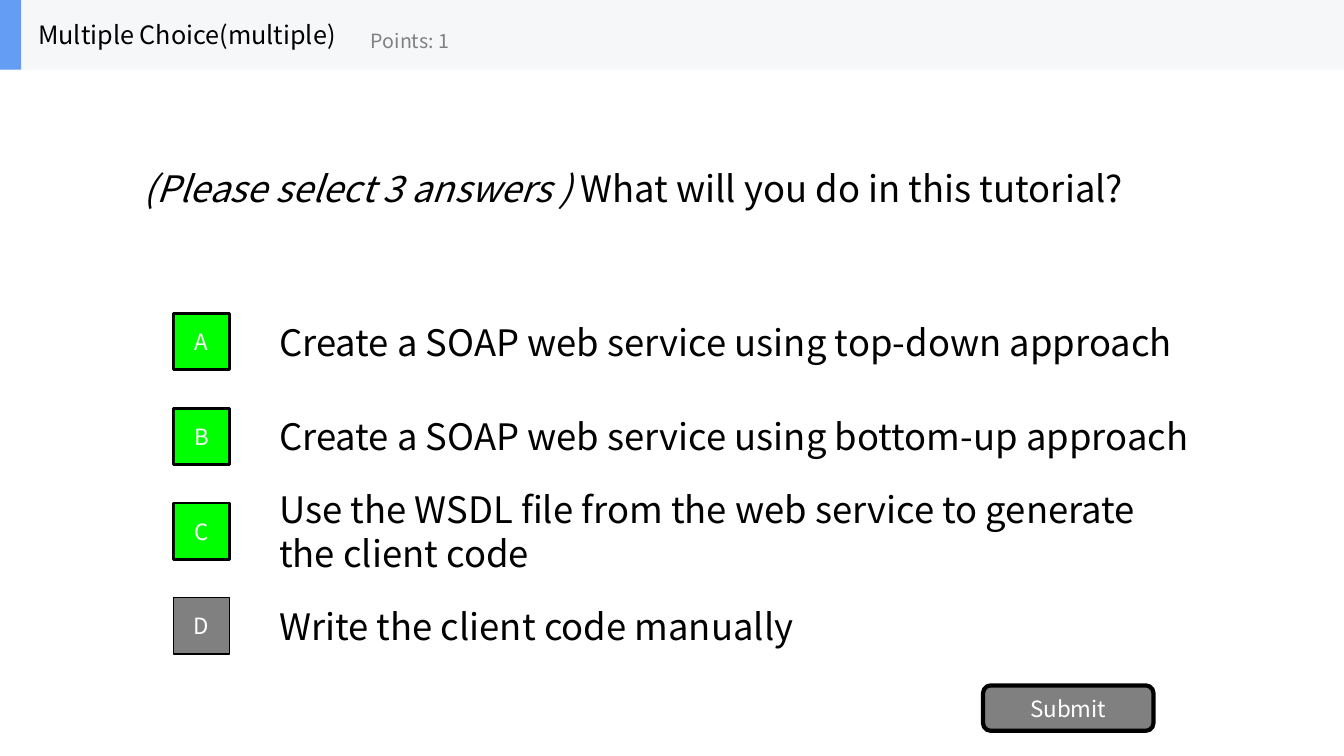
from dataclasses import dataclass

from pptx import Presentation
from pptx.dml.color import RGBColor
from pptx.enum.shapes import MSO_SHAPE
from pptx.enum.text import MSO_ANCHOR, PP_ALIGN
from pptx.util import Inches, Pt

RECT = MSO_SHAPE.RECTANGLE
ROUNDED = MSO_SHAPE.ROUNDED_RECTANGLE
MIDDLE = MSO_ANCHOR.MIDDLE
CENTER = PP_ALIGN.CENTER
LEFT = PP_ALIGN.LEFT

FONT = "Noto Sans CJK SC"
COLORS = {
    "black": "000000",
    "white": "FFFFFF",
    "gray": "808080",
    "correct": "00FF00",
    "header": "F6F7F8",
    "accent": "639EF4",
}
FIRST_OPTION_TOP = 3.04
OPTION_STEP = 0.94
OPTION_HEIGHT = 0.7
BADGE_SIZE = 0.56
HEADER_HEIGHT = 0.69


@dataclass
class Box:
    left: float
    top: float
    width: float
    height: float

    def lengths(self) -> list[Inches]:
        return [Inches(v) for v in (self.left, self.top, self.width, self.height)]


@dataclass
class Option:
    letter: str
    text: str
    correct: bool


OPTIONS = [
    Option("A", "Create a SOAP web service using top-down approach", True),
    Option("B", "Create a SOAP web service using bottom-up approach", True),
    Option("C", "Use the WSDL file from the web service to generate the client code",
           True),
    Option("D", "Write the client code manually", False),
]


def rgb(name: str) -> RGBColor:
    return RGBColor.from_string(COLORS[name])


def write(sp, text: str, size: int, color: str, align=LEFT, wrap: bool = True):
    tf = sp.text_frame
    tf.word_wrap = wrap
    tf.vertical_anchor = MIDDLE
    p = tf.paragraphs[0]
    p.alignment = align
    p.font.name = FONT
    p.font.size = Pt(size)
    p.font.color.rgb = rgb(color)
    p.add_run().text = text
    return p


def add_text(slide, box: Box, text: str, size: int, color: str = "black",
             wrap: bool = True):
    sp = slide.shapes.add_textbox(*box.lengths())
    return write(sp, text, size, color, wrap=wrap)


def add_block(slide, box: Box, fill: str, line_width: int = 0, text: str = "",
              kind=RECT) -> None:
    sp = slide.shapes.add_shape(kind, *box.lengths())
    sp.shadow.inherit = False
    sp.fill.solid()
    sp.fill.fore_color.rgb = rgb(fill)
    if line_width:
        sp.line.color.rgb = rgb("black")
        sp.line.width = Pt(line_width)
    else:
        sp.line.fill.background()
    if text:
        write(sp, text, 16, "white", CENTER)


def main() -> None:
    prs = Presentation()
    prs.slide_width = Inches(13.33)
    prs.slide_height = Inches(7.5)
    s = prs.slides.add_slide(prs.slide_layouts[6])

    # Question
    p = add_text(s, Box(1.33, 0.69, 10.67, 2.34), "(Please select 3 answers ) ", 26)
    p.runs[0].font.italic = True
    p.add_run().text = "What will you do in this tutorial?"

    # Answer options
    for i, option in enumerate(OPTIONS):
        top = FIRST_OPTION_TOP + i * OPTION_STEP
        add_text(s, Box(2.67, top, 9.33, OPTION_HEIGHT), option.text, 26)
        badge_top = top + (OPTION_HEIGHT - BADGE_SIZE) / 2
        add_block(s, Box(1.72, badge_top, BADGE_SIZE, BADGE_SIZE),
                  "correct" if option.correct else "gray",
                  2 if option.correct else 1, option.letter)

    # Submit button
    add_block(s, Box(9.75, 6.8, 1.69, 0.45), "gray", 3, "Submit", ROUNDED)

    # Header bar
    add_block(s, Box(0, 0, 13.33, HEADER_HEIGHT), "header")
    add_block(s, Box(0, 0, 0.21, HEADER_HEIGHT), "accent")
    add_text(s, Box(0.28, 0, 3.25, HEADER_HEIGHT), "Multiple Choice(multiple)", 18,
             wrap=False)
    add_text(s, Box(3.58, 0.12, 2.5, 0.56), "Points: 1", 14, "gray", wrap=False)

    prs.save("out.pptx")


if __name__ == "__main__":
    main()
